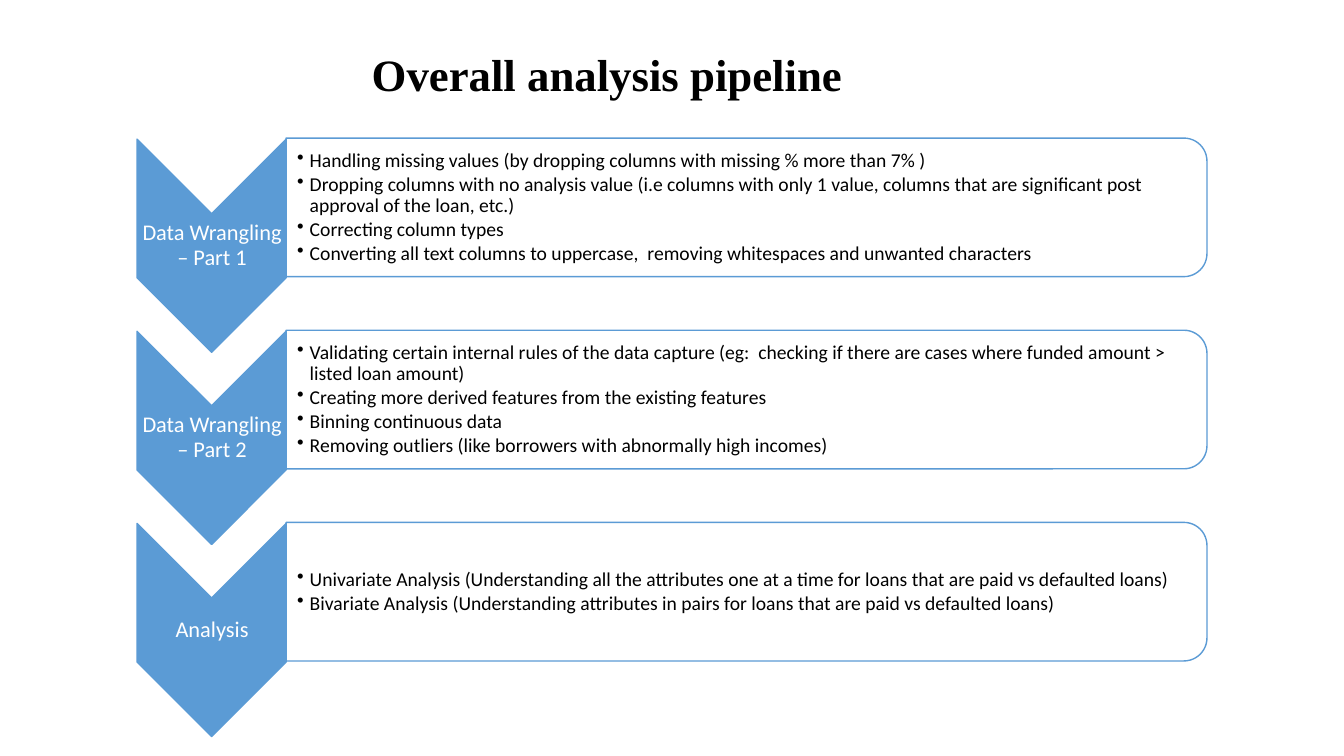
from dataclasses import dataclass

from lxml import etree
from pptx import Presentation
from pptx import util as u
from pptx.dml.color import RGBColor
from pptx.enum import shapes, text
from pptx.oxml import ns

PX = 9525  # EMU per px, 96 px to the inch
BLUE = RGBColor(0x5B, 0x9B, 0xD5)
WHITE = RGBColor(0xFF, 0xFF, 0xFF)
BLACK = RGBColor(0x00, 0x00, 0x00)

STAGE_STEP = 183
BULLET_INDENT = 12


@dataclass(frozen=True)
class Box:
    left: int
    top: int
    width: int
    height: int

    def emu(self, down: int = 0) -> list[int]:
        return [v * PX for v in (self.left, self.top + down, self.width, self.height)]


@dataclass(frozen=True)
class Stage:
    label: str
    tasks: list[str]


# Frames of the first stage; chevron and panel are given before their quarter turn
TITLE = Box(344, 28, 488, 90)
CHEVRON = Box(100, 163, 203, 142)
LABEL = Box(131, 204, 142, 60)
PANEL = Box(645, -241, 132, 877)
TASKS = Box(272, 138, 872, 119)

STAGES = [
    Stage("Data Wrangling – Part 1", [
        "Handling missing values (by dropping columns with missing % more than 7% )",
        "Dropping columns with no analysis value (i.e columns with only 1 value, "
        "columns that are significant post approval of the loan, etc.)",
        "Correcting column types",
        "Converting all text columns to uppercase,  removing whitespaces and unwanted characters",
    ]),
    Stage("Data Wrangling – Part 2", [
        "Validating certain internal rules of the data capture (eg:  checking if there are "
        "cases where funded amount > listed loan amount)",
        "Creating more derived features from the existing features",
        "Binning continuous data",
        "Removing outliers (like borrowers with abnormally high incomes)",
    ]),
    Stage("Analysis", [
        "Univariate Analysis (Understanding all the attributes one at a time for loans "
        "that are paid vs defaulted loans)",
        "Bivariate Analysis (Understanding attributes in pairs for loans "
        "that are paid vs defaulted loans)",
    ]),
]


def add_turned(slide, kind, box: Box, down: int, fill: RGBColor, opacity: int = 100) -> None:
    """Add a blue-edged preset shape turned a quarter clockwise."""
    shape = slide.shapes.add_shape(kind, *box.emu(down))
    shape.rotation = 90
    shape.shadow.inherit = False
    shape.fill.solid()
    shape.fill.fore_color.rgb = fill
    shape.line.color.rgb = BLUE
    shape.line.width = u.Pt(1)
    if opacity < 100:
        color = shape.fill._xPr.find(".//" + ns.qn("a:srgbClr"))
        etree.SubElement(color, ns.qn("a:alpha"), val=str(opacity * 1000))


def add_text(slide, box: Box, lines: list[str], *, size: int, down: int = 0,
             font: str = "Calibri", color: RGBColor = BLACK, bold: bool = False,
             align=text.PP_ALIGN.LEFT, after: int = 0, bullets: bool = False,
             insets: tuple[int, int, int, int] = (1, 1, 1, 1)) -> None:
    """Add a vertically centred text box with one paragraph per line."""
    frame = slide.shapes.add_textbox(*box.emu(down)).text_frame
    frame.word_wrap = True
    frame.vertical_anchor = text.MSO_ANCHOR.MIDDLE
    (frame.margin_left, frame.margin_top,
     frame.margin_right, frame.margin_bottom) = [v * PX for v in insets]
    for i, line in enumerate(lines):
        paragraph = frame.add_paragraph() if i else frame.paragraphs[0]
        paragraph.alignment = align
        paragraph.line_spacing = 0.9
        paragraph.space_after = u.Pt(after)
        if bullets:
            props = paragraph._p.get_or_add_pPr()
            props.set("marL", str(BULLET_INDENT * PX))
            props.set("indent", str(-BULLET_INDENT * PX))
            etree.SubElement(props, ns.qn("a:buChar"), char="•")
        run = paragraph.add_run()
        run.text = line
        run.font.name = font
        run.font.size = u.Pt(size)
        run.font.bold = bold
        run.font.color.rgb = color


def add_stage(slide, stage: Stage, down: int) -> None:
    # Chevron with the stage name
    add_turned(slide, shapes.MSO_SHAPE.CHEVRON, CHEVRON, down, BLUE)
    add_text(slide, LABEL, [stage.label], size=16, down=down, color=WHITE,
             align=text.PP_ALIGN.CENTER, after=6)
    # Panel with the stage's tasks
    add_turned(slide, shapes.MSO_SHAPE.ROUND_2_SAME_RECTANGLE, PANEL, down, WHITE, opacity=90)
    add_text(slide, TASKS, stage.tasks, size=14, down=down, after=2, bullets=True,
             insets=(11, 1, 1, 1))


def main() -> None:
    deck = Presentation()
    deck.slide_width, deck.slide_height = 1280 * PX, 720 * PX
    slide = deck.slides.add_slide(deck.slide_layouts[6])

    for i, stage in enumerate(STAGES):
        add_stage(slide, stage, i * STAGE_STEP)

    # Title
    add_text(slide, TITLE, ["Overall analysis pipeline"], size=32,
             font="Times New Roman", bold=True, insets=(10, 5, 10, 5))
    deck.save("out.pptx")


if __name__ == "__main__":
    main()
